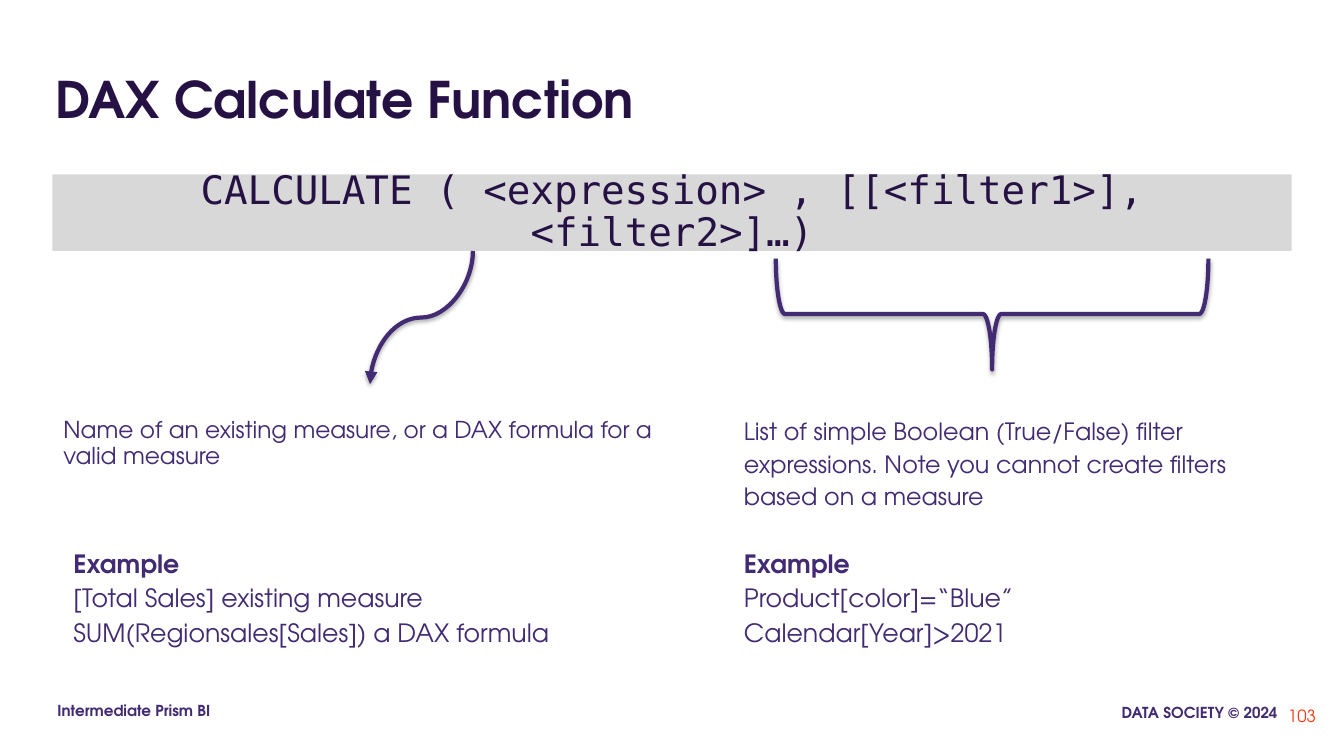
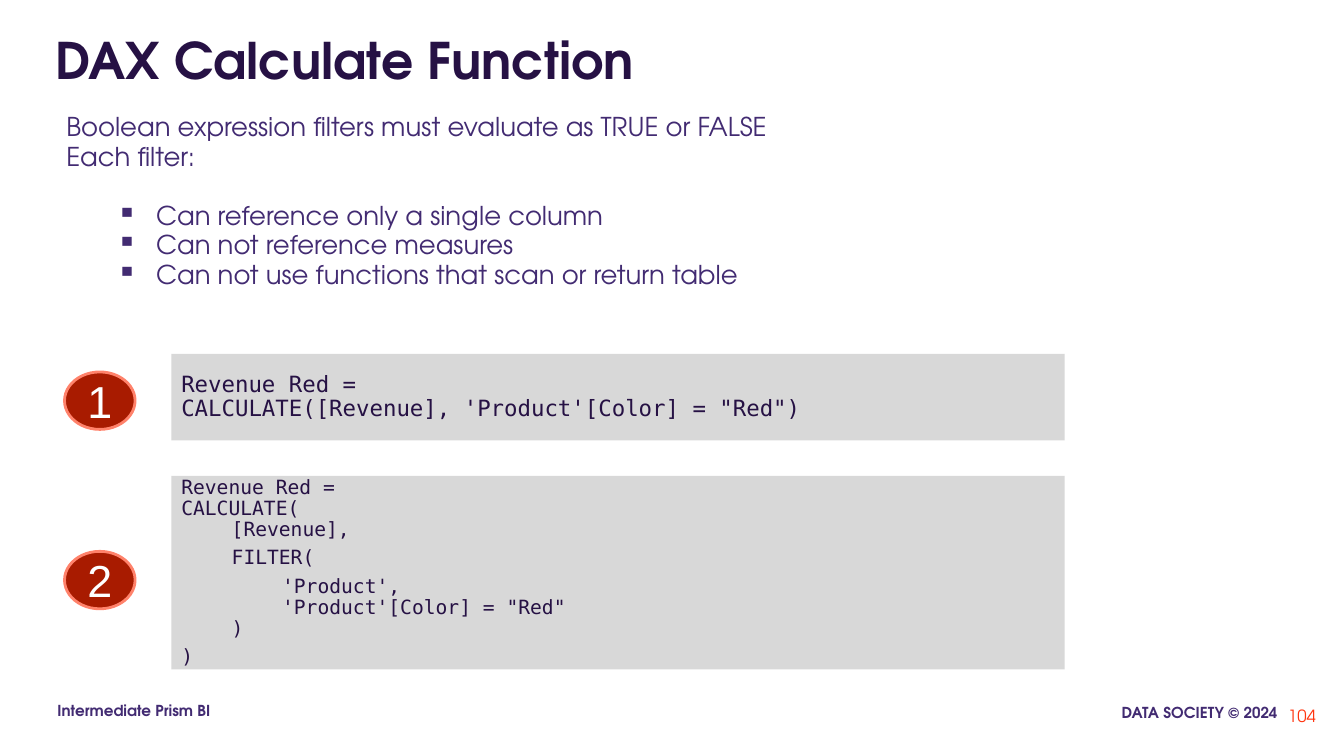
from copy import deepcopy

from lxml import etree
from pptx import Presentation
from pptx import util as u
from pptx.dml.color import RGBColor
from pptx.enum import shapes, text
from pptx.oxml.ns import qn

# Shared colours, fonts and styles
INK = RGBColor(0x26, 0x11, 0x44)
PURPLE = RGBColor(0x42, 0x2B, 0x72)
ORANGE = RGBColor(0xFF, 0x35, 0x0F)
GREY = RGBColor(0xD8, 0xD8, 0xD8)
RED = RGBColor(0xA8, 0x1B, 0x00)
SALMON = RGBColor(0xFF, 0x82, 0x6B)
WHITE = RGBColor(0xFF, 0xFF, 0xFF)
SANS, MONO = "TeX Gyre Adventor", "DejaVu Sans Mono"

TITLE = {"name": SANS, "size": u.Pt(36), "bold": True, "color": INK}
BODY = {"name": SANS, "size": u.Pt(18), "color": PURPLE}
FOOTER = {"name": SANS, "size": u.Pt(10.8), "bold": True, "color": PURPLE}
NUMBER = {"name": SANS, "size": u.Pt(12), "color": ORANGE}
CODE = {"name": MONO, "size": u.Pt(16), "color": INK}
BADGE = {"name": "Arial", "size": u.Pt(32), "color": WHITE}

LEFT, CENTER, RIGHT = (text.PP_ALIGN.LEFT, text.PP_ALIGN.CENTER,
                       text.PP_ALIGN.RIGHT)
TOP, MIDDLE = text.MSO_ANCHOR.TOP, text.MSO_ANCHOR.MIDDLE
BODY_INDENT = 0.11


def inches(*values):
    return [u.Inches(v) for v in values]


# Text
def set_font(p, style):
    for r in p.runs:
        for key, value in style.items():
            if key == "color":
                r.font.color.rgb = value
            else:
                setattr(r.font, key, value)
    # Line breaks take the size of the text around them
    for br in p._p.findall(qn("a:br")):
        br.append(deepcopy(p.runs[0]._r.rPr))


def set_indent(p, left, first=0):
    pPr = p._p.get_or_add_pPr()
    pPr.set("marL", str(u.Inches(left)))
    pPr.set("indent", str(u.Inches(first)))


def set_bullet(p, char="▪"):
    pPr = p._p.get_or_add_pPr()
    clr = etree.SubElement(pPr, qn("a:buClr"))
    etree.SubElement(clr, qn("a:srgbClr"), val=str(PURPLE))
    etree.SubElement(pPr, qn("a:buSzPct"), val="108000")
    etree.SubElement(pPr, qn("a:buChar"), char=char)


def fill_frame(tf, paras, style, align=LEFT, anchor=TOP, spacing=None,
               margins=(0.1, 0.1), indent=0, before=0):
    side, edge = inches(*margins)
    frame = {"word_wrap": True, "vertical_anchor": anchor,
             "margin_left": side, "margin_right": side,
             "margin_top": edge, "margin_bottom": edge}
    for key, value in frame.items():
        setattr(tf, key, value)
    for i, line in enumerate(paras):
        p = tf.add_paragraph() if i else tf.paragraphs[0]
        p.text = line
        p.alignment = align
        if spacing:
            p.line_spacing = spacing
        if i and before:
            p.space_before = u.Pt(before)
        if indent:
            set_indent(p, indent)
        set_font(p, style)
    return tf


def add_text(s, box, paras, style, **options):
    sp = s.shapes.add_textbox(*inches(*box))
    return fill_frame(sp.text_frame, paras, style, **options)


def add_body(s, box, paras, size=18, spacing=1.15):
    return add_text(s, box, paras, {**BODY, "size": u.Pt(size)},
                    spacing=spacing, indent=BODY_INDENT)


def add_example(s, left, lines):
    tf = add_body(s, (left, 5.29, 6.1, 1.26), ["Example", *lines])
    tf.paragraphs[0].runs[0].font.bold = True


# Shapes
def add_shape(s, kind, box, fill=None, line=None, width=1):
    sp = s.shapes.add_shape(kind, *inches(*box))
    sp.shadow.inherit = False
    if fill is None:
        sp.fill.background()
    else:
        sp.fill.solid()
        sp.fill.fore_color.rgb = fill
    if line is None:
        sp.line.fill.background()
    else:
        sp.line.color.rgb = line
        sp.line.width = u.Pt(width)
    return sp


def add_code(s, box, paras, size=16, **options):
    sp = add_shape(s, shapes.MSO_SHAPE.RECTANGLE, box, GREY)
    fill_frame(sp.text_frame, paras, {**CODE, "size": u.Pt(size)},
               anchor=MIDDLE, spacing=0.9, margins=(0.1, 0.05), **options)


def add_badge(s, top, label):
    sp = add_shape(s, shapes.MSO_SHAPE.OVAL, (0.64, top, 0.7, 0.57),
                   RED, SALMON, 2)
    fill_frame(sp.text_frame, [label], BADGE, align=CENTER, anchor=MIDDLE,
               margins=(0.1, 0.05))


def add_soft_shadow(sp):
    spPr = sp._element.spPr
    effects = spPr.find(qn("a:effectLst"))
    if effects is None:
        effects = etree.SubElement(spPr, qn("a:effectLst"))
    shadow = etree.SubElement(effects, qn("a:outerShdw"), blurRad="40000",
                              dist="23000", dir="5400000", rotWithShape="0")
    clr = etree.SubElement(shadow, qn("a:srgbClr"), val="000000")
    etree.SubElement(clr, qn("a:alpha"), val="35000")


def add_curved_arrow(s, x1, y1, x2, y2):
    """Curve that leaves and arrives vertically: a quarter-turned connector."""
    cx, cy = (x1 + x2) / 2, (y1 + y2) / 2
    dx, dy = abs(y2 - y1) / 2, abs(x2 - x1) / 2
    c = s.shapes.add_connector(shapes.MSO_CONNECTOR.CURVE,
                               *inches(cx - dx, cy - dy, cx + dx, cy + dy))
    c._element.spPr.find(qn("a:xfrm")).set("rot", "5400000")
    c.line.color.rgb = PURPLE
    c.line.width = u.Pt(3)
    etree.SubElement(c.line._get_or_add_ln(), qn("a:tailEnd"),
                     type="triangle")
    add_soft_shadow(c)


def add_brace(s, box):
    sp = add_shape(s, shapes.MSO_SHAPE.LEFT_BRACE, box, line=PURPLE, width=3)
    sp.rotation = 270
    sp.adjustments[0] = 0.083
    add_soft_shadow(sp)


# Slides
def add_slide(prs, title, title_top, number):
    s = prs.slides.add_slide(prs.slide_layouts[6])
    add_text(s, (10.57, 6.89, 2.22, 0.42), ["DATA SOCIETY © 2024"], FOOTER,
             align=RIGHT, margins=(0.12, 0.12))
    add_text(s, (0.45, 6.87, 2.74, 0.42), ["Intermediate Prism BI"], FOOTER,
             margins=(0.12, 0.12))
    add_text(s, (12.35, 6.89, 0.8, 0.42), [number], NUMBER,
             align=RIGHT, anchor=MIDDLE)
    add_text(s, (0.45, title_top, 12.42, 0.84), [title], TITLE)
    return s


def build_syntax(prs):
    s = add_slide(prs, "DAX Calculate Function", 0.58, "103")
    add_code(s, (0.52, 1.73, 12.29, 0.76),
             ["CALCULATE ( <expression> , [[<filter1>], <filter2>]…)"],
             size=28, align=CENTER)
    # Expression argument
    add_curved_arrow(s, 4.69, 2.49, 3.67, 3.81)
    add_body(s, (0.42, 4.04, 6.49, 0.76),
             ["Name of an existing measure, or a DAX formula for a "
              "valid measure"], size=16.6, spacing=0.95)
    add_example(s, 0.52, ["[Total Sales] existing measure",
                          "SUM(Regionsales[Sales]) a DAX formula"])
    # Filter arguments
    add_brace(s, (9.29, 0.97, 1.1, 4.29))
    add_body(s, (7.17, 3.99, 5.35, 0.76),
             ["List of simple Boolean (True/False) filter expressions. "
              "Note you cannot create filters based on a measure"], size=17)
    add_example(s, 7.17, ["Product[color]=“Blue”", "Calendar[Year]>2021"])


def build_filters(prs):
    s = add_slide(prs, "DAX Calculate Function", 0.19, "104")
    # Filter rules
    tf = add_body(s, (0.45, 1.02, 11.9, 2.04),
                  ["Boolean expression filters must evaluate as TRUE or FALSE",
                   "Each filter:",
                   "Can reference only a single column",
                   "Can not reference measures",
                   "Can not use functions that scan or return table"],
                  size=18.5, spacing=0.95)
    rules = tf.paragraphs[2:]
    for p in rules:
        p.level = 1
        set_indent(p, 1, -0.39)
        set_bullet(p)
    rules[0].space_before = u.Pt(21)
    # Two ways to write the measure
    add_code(s, (1.7, 3.51, 8.86, 0.86),
             ["Revenue Red =\n"
              "CALCULATE([Revenue], 'Product'[Color] = \"Red\")"])
    add_code(s, (1.7, 4.72, 8.86, 1.92),
             ["Revenue Red =\nCALCULATE(\n\t[Revenue],",
              "\tFILTER(",
              "\t\t'Product',\n\t\t'Product'[Color] = \"Red\"\n\t)",
              ")"], size=14, before=5)
    for top, label in ((3.69, "1"), (5.47, "2")):
        add_badge(s, top, label)


def main():
    prs = Presentation()
    prs.slide_width, prs.slide_height = inches(13.33, 7.5)
    build_syntax(prs)
    build_filters(prs)
    prs.save("out.pptx")


if __name__ == "__main__":
    main()
